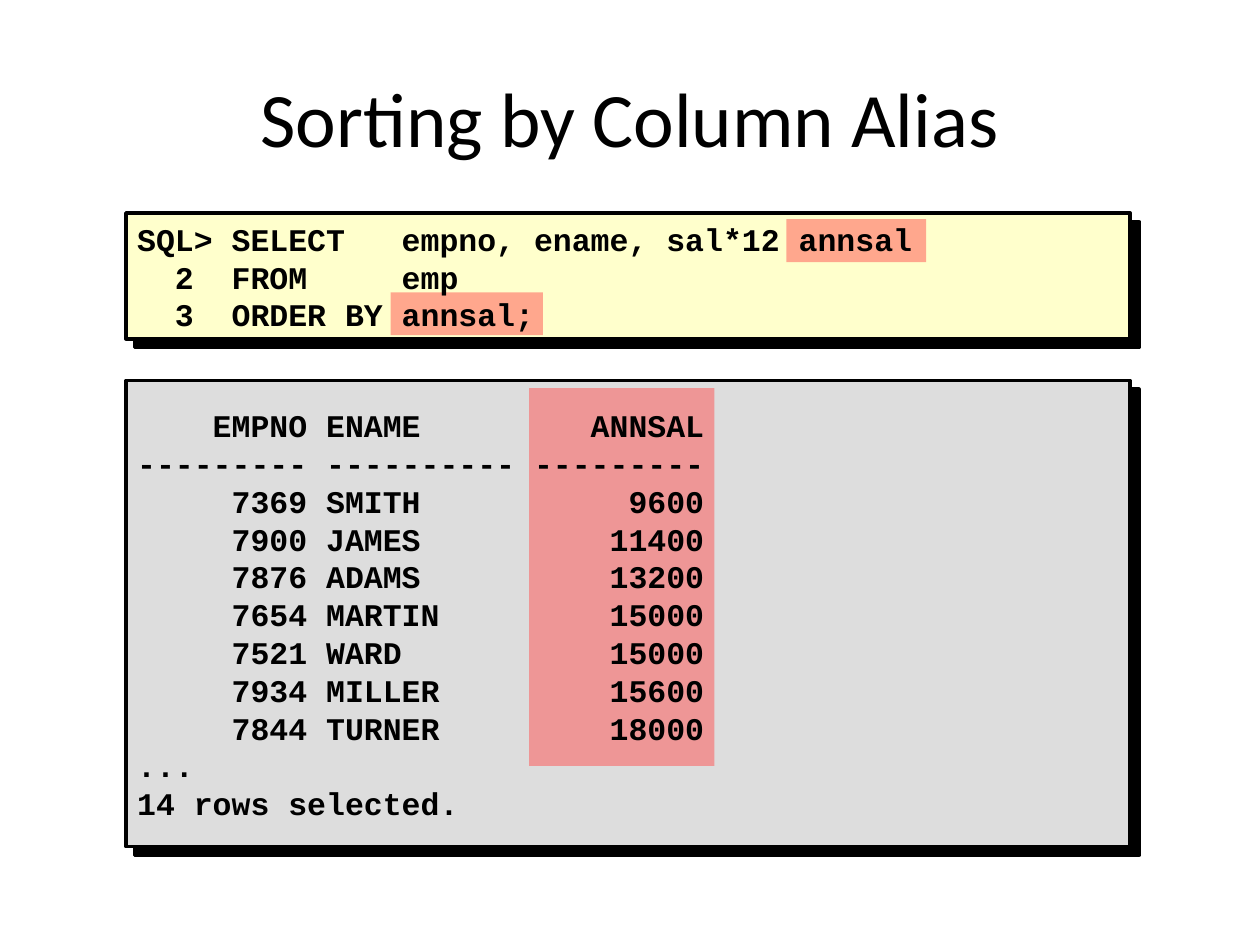
"""Build the slide on sorting a query by a column alias."""
from dataclasses import dataclass

from lxml.etree import SubElement as Sub
from pptx import Presentation
from pptx.dml.color import RGBColor as Rgb
from pptx.enum.shapes import MSO_SHAPE as Kind
from pptx.enum.text import MSO_ANCHOR as Anchor, PP_ALIGN as Align
from pptx.oxml.ns import qn
from pptx.util import Inches, Pt


@dataclass
class Box:
    left: float
    top: float
    width: float
    height: float

    def place(self) -> tuple:
        return tuple(map(Inches, (self.left, self.top, self.width, self.height)))


@dataclass
class Panel:
    box: Box
    fill: str
    frame: Box
    text: str


QUERY = """SQL> SELECT   empno, ename, sal*12 annsal
  2  FROM     emp
  3  ORDER BY annsal;"""

RESULT = """    EMPNO ENAME         ANNSAL
--------- ---------- ---------
     7369 SMITH           9600
     7900 JAMES          11400
     7876 ADAMS          13200
     7654 MARTIN         15000
     7521 WARD           15000
     7934 MILLER         15600
     7844 TURNER         18000
...
14 rows selected."""

PANELS = [
    Panel(Box(1, 1.69, 7.97, 1), "FFFFCC", Box(0.99, 1.68, 8, 1.03), QUERY),
    Panel(Box(1, 3.02, 7.97, 3.7), "DDDDDD", Box(0.99, 3.01, 8, 3.73), RESULT),
]
MARKS = [
    Box(3.1, 2.32, 1.21, 0.34),
    Box(4.2, 3.08, 1.47, 3),
    Box(6.24, 1.74, 1.11, 0.34),
]


def paint(fill, tone: str) -> None:
    fill.solid()
    fill.fore_color.rgb = Rgb.from_string(tone)


def shade(props, dist: float) -> None:
    for old in props.findall(qn("a:effectLst")):
        props.remove(old)
    cast = Sub(Sub(props, qn("a:effectLst")), qn("a:outerShdw"),
               dist=str(Pt(dist)), dir="2700000", algn="ctr", rotWithShape="0")
    Sub(cast, qn("a:srgbClr"), val="000000")


def write(frame, text: str, *, font: str, size: float, bold: bool = False,
          align=Align.LEFT, lead: float | None = None, glow: bool = False) -> None:
    frame.word_wrap = True
    frame.vertical_anchor = Anchor.MIDDLE
    for i, line in enumerate(text.split("\n")):
        par = frame.add_paragraph() if i else frame.paragraphs[0]
        par.alignment = align
        if lead:
            par.line_spacing = Pt(lead)
        run = par.add_run()
        run.text = line
        face = run.font
        face.size, face.bold = Pt(size), bold
        paint(face.fill, "000000")
        if glow:
            shade(face.fill.fore_color and run._r.get_or_add_rPr(), 3)
        face.name = font


def draw(slide, box: Box, tone: str):
    shape = slide.shapes.add_shape(Kind.RECTANGLE, *box.place())
    shape.shadow.inherit = False
    paint(shape.fill, tone)
    return shape


def add_panel(slide, panel: Panel) -> None:
    shape = draw(slide, panel.box, panel.fill)
    paint(shape.line.fill, "000000")
    shape.line.width = Pt(2)
    shade(shape._element.spPr, 7.1)


def add_mark(slide, box: Box) -> None:
    shape = draw(slide, box, "FF5050")
    shape.line.fill.background()
    tone = shape._element.spPr.find(qn("a:solidFill"))[0]
    Sub(tone, qn("a:alpha"), val="50000")


def add_code(slide, panel: Panel) -> None:
    area = slide.shapes.add_textbox(*panel.frame.place())
    write(area.text_frame, panel.text, font="Courier New", size=18,
          bold=True, lead=21.6)


def main() -> None:
    deck = Presentation()
    deck.slide_width, deck.slide_height = Inches(10), Inches(7.5)
    slide = deck.slides.add_slide(deck.slide_layouts[5])
    paint(slide.background.fill, "FFFFFF")
    title = slide.shapes.title
    title.left, title.top, title.width, title.height = Box(0.5, 0.3, 9, 1.25).place()
    write(title.text_frame, "Sorting by Column Alias", font="Calibri", size=44,
          align=Align.CENTER, glow=True)
    for panel in PANELS:
        add_panel(slide, panel)
    for box in MARKS:
        add_mark(slide, box)
    for panel in PANELS:
        add_code(slide, panel)
    deck.save("out.pptx")


if __name__ == "__main__":
    main()
